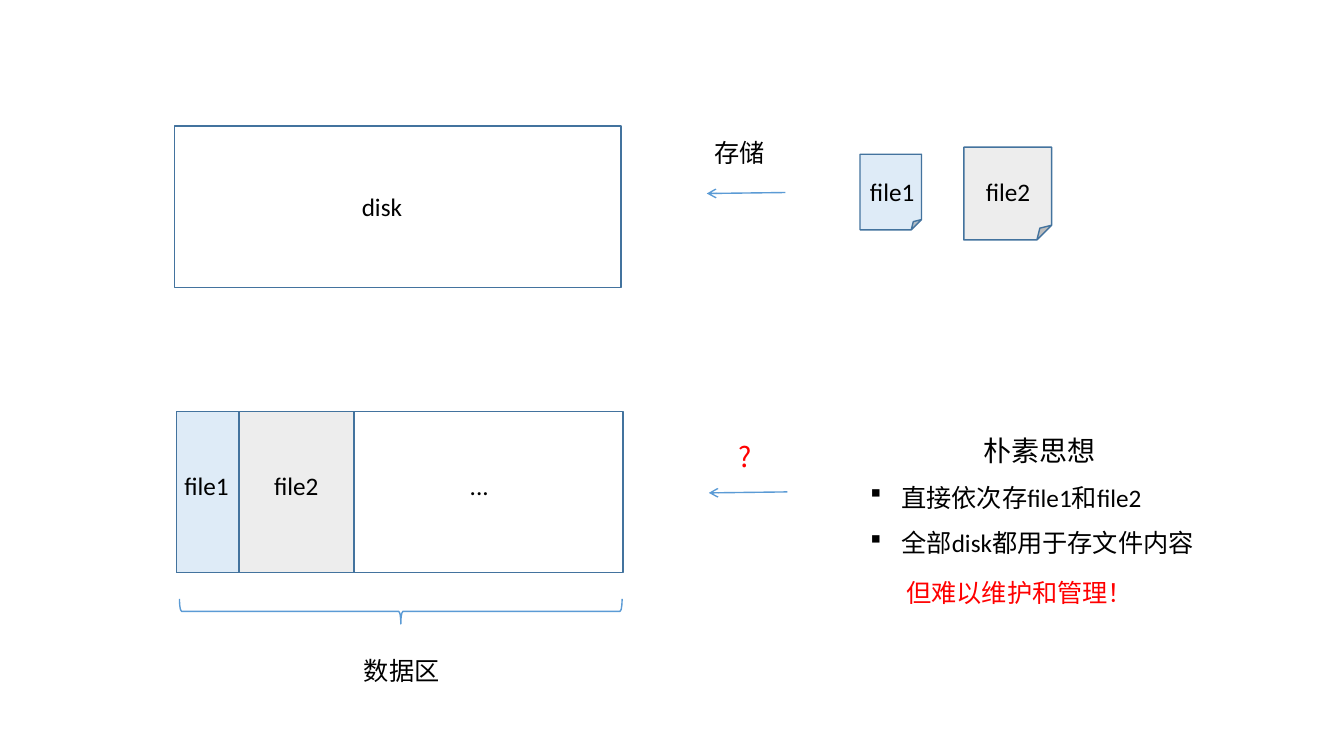
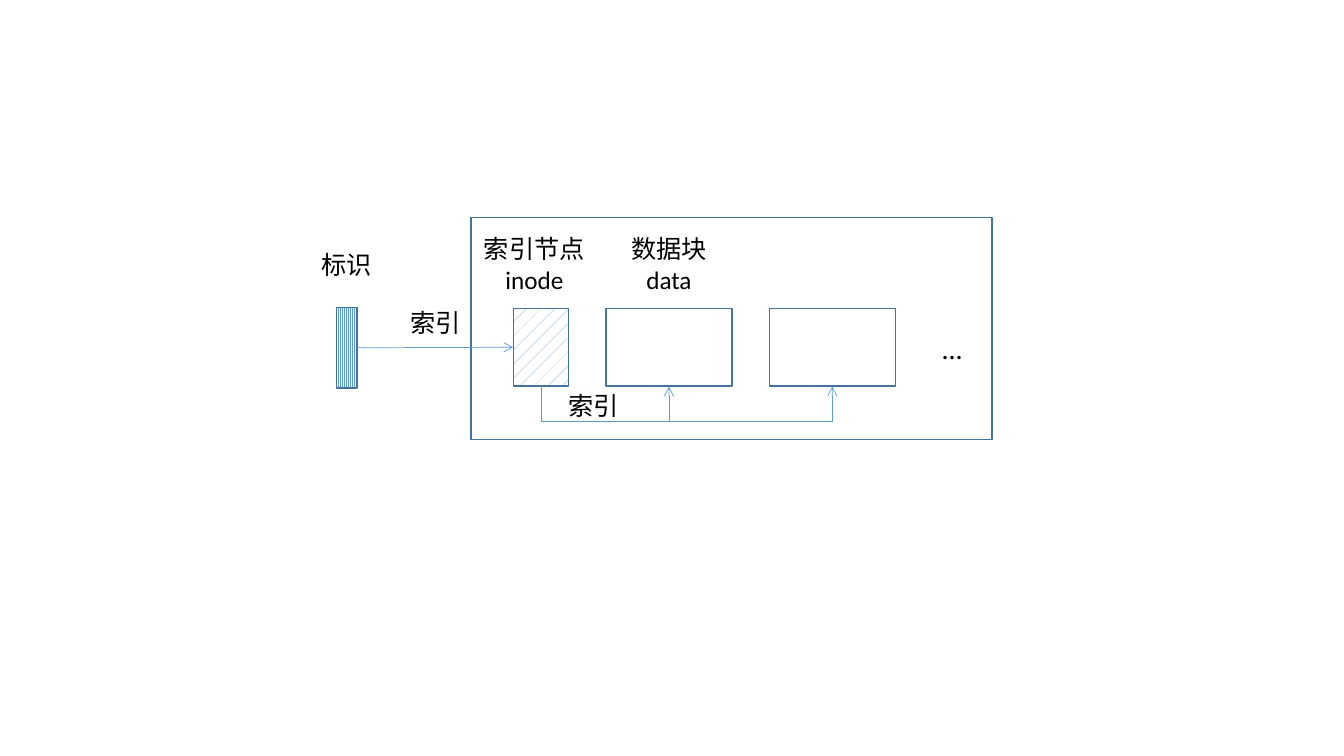
from dataclasses import dataclass

from lxml.etree import SubElement
from pptx import Presentation
from pptx.dml.color import RGBColor
from pptx.enum.dml import MSO_PATTERN as PATTERN
from pptx.enum.shapes import MSO_CONNECTOR as CONNECTOR, MSO_SHAPE as SHAPE
from pptx.enum.text import MSO_AUTO_SIZE as AUTO_SIZE, PP_ALIGN as ALIGN
from pptx.oxml.ns import qn
from pptx.util import Inches, Pt

BOTTOM, LEFT, RIGHT = 2, 1, 3
CONTENT, BLANK = 1, 6


@dataclass(frozen=True)
class Theme:
    black: str = "000000"
    red: str = "FF0000"
    white: str = "FFFFFF"
    outline: str = "43739E"
    accent: str = "5B9BD5"
    file1: str = "DEEBF7"
    file2: str = "EDEDED"
    latin: str = "Calibri"
    cjk: str = "Noto Sans CJK SC"
    text: int = 18
    large: int = 20
    line: float = 1
    thin: float = 0.5


T = Theme()


def rgb(value):
    return RGBColor.from_string(value)


class Deck:
    def __init__(self):
        self.prs = Presentation()
        self.prs.slide_width, self.prs.slide_height = Inches(13.33), Inches(7.5)
        self.s = None

    def slide(self, layout=BLANK):
        self.s = self.prs.slides.add_slide(self.prs.slide_layouts[layout])
        title = self.s.shapes.title
        if title is not None:
            title.element.getparent().remove(title.element)

    def add_text(self, p, text, size=T.text, color=T.black, font=T.latin):
        r = p.add_run()
        r.text = text
        for name, value in {"size": Pt(size), "name": font}.items():
            setattr(r.font, name, value)
        r.font.color.rgb = rgb(color)
        SubElement(r.font._element, qn("a:ea")).set("typeface", T.cjk)

    def label(self, x, y, w, text, h=0.4, align=ALIGN.LEFT, **style):
        """Add an unwrapped text box with one paragraph per line of text."""
        box = self.s.shapes.add_textbox(*map(Inches, (x, y, w, h)))
        tf = box.text_frame
        tf.word_wrap = False
        for i, line in enumerate(text.split("\n")):
            p = tf.add_paragraph() if i else tf.paragraphs[0]
            p.alignment = align
            self.add_text(p, line, **style)

    def bullets(self, x, y, w, h, heading, items):
        """Fill the body placeholder with a centred heading and square bullets."""
        body = self.s.placeholders[1]
        place = dict(zip(("left", "top", "width", "height"), map(Inches, (x, y, w, h))))
        for name, value in place.items():
            setattr(body, name, value)
        tf = body.text_frame
        tf.auto_size = AUTO_SIZE.NONE
        for i, text in enumerate((heading, *items)):
            p = tf.add_paragraph() if i else tf.paragraphs[0]
            layout = {"alignment": ALIGN.LEFT if i else ALIGN.CENTER,
                      "line_spacing": 1.5, "space_before": Pt(0)}
            for name, value in layout.items():
                setattr(p, name, value)
            pPr = p._p.get_or_add_pPr()
            indent = Inches(0.31) if i else 0
            pPr.set("marL", str(indent))
            pPr.set("indent", str(-indent))
            if i:
                SubElement(pPr, qn("a:buFont")).set("typeface", "Wingdings")
                SubElement(pPr, qn("a:buChar")).set("char", "§")
                self.add_text(p, text)
            else:
                SubElement(pPr, qn("a:buNone"))
                self.add_text(p, text, size=T.large, font=T.cjk)

    def shape(self, x, y, w, h, fill=None, kind=SHAPE.RECTANGLE, line=T.outline, turn=0):
        """Add an outlined shape; fill is a colour, a pattern or None."""
        sp = self.s.shapes.add_shape(kind, *map(Inches, (x, y, w, h)))
        sp.shadow.inherit = False
        sp.rotation = turn
        sp.line.color.rgb = rgb(line)
        sp.line.width = Pt(T.line)
        if fill is None:
            sp.fill.background()
        elif isinstance(fill, str):
            sp.fill.solid()
            sp.fill.fore_color.rgb = rgb(fill)
        else:
            sp.fill.patterned()
            sp.fill.pattern = fill
            sp.fill.fore_color.rgb = rgb(T.accent)
            sp.fill.back_color.rgb = rgb(T.white)
        return sp

    def arrow(self, start=(0, 0), end=(0, 0), width=T.line, kind=CONNECTOR.STRAIGHT):
        c = self.s.shapes.add_connector(kind, *map(Inches, (*start, *end)))
        c.line.color.rgb = rgb(T.accent)
        c.line.width = Pt(width)
        spPr = c._element.spPr
        SubElement(spPr.find(qn("a:ln")), qn("a:tailEnd")).set("type", "arrow")
        SubElement(spPr, qn("a:effectLst"))
        return c

    def join(self, source, target):
        c = self.arrow(width=T.thin)
        c.begin_connect(source, RIGHT)
        c.end_connect(target, LEFT)

    def loop_under(self, source, target, drop):
        """Join two bottom sides by an elbow that dips by drop inches."""
        c = self.arrow(width=T.thin, kind=CONNECTOR.ELBOW)
        c.begin_connect(source, BOTTOM)
        c.end_connect(target, BOTTOM)
        x1, x2 = (sp.left + sp.width // 2 for sp in (source, target))
        y, span, depth = source.top + source.height, x2 - x1, Inches(0.01)
        # The elbow runs sideways by nature, so it is turned a quarter.
        frame = {"left": (x1 + x2 - depth) // 2, "top": y - span // 2,
                 "width": depth, "height": span}
        for name, value in frame.items():
            setattr(c, name, value)
        spPr = c._element.spPr
        for name, value in {"rot": "5400000", "flipH": "0", "flipV": "1"}.items():
            spPr.find(qn("a:xfrm")).set(name, value)
        geom = spPr.find(qn("a:prstGeom"))
        avLst = geom.find(qn("a:avLst"))
        if avLst is None:
            avLst = SubElement(geom, qn("a:avLst"))
        gd = SubElement(avLst, qn("a:gd"))
        gd.set("name", "adj1")
        gd.set("fmla", f"val {round(Inches(drop) / depth * 100000)}")


def storage_slide(d):
    d.slide(CONTENT)
    disk_w, disk_h, disk_x, disk_y = 4.43, 1.6, 1.75, 4.08
    d.shape(1.73, 1.25, disk_w, disk_h)
    d.label(3.49, 1.85, 0.6, "disk")
    d.shape(disk_x, disk_y, disk_w, disk_h)
    x = disk_x
    for name, w, fill, text_x in (("file1", 0.62, T.file1, 1.73),
                                  ("file2", 1.14, T.file2, 2.62)):
        d.shape(x, disk_y, w, disk_h, fill)
        d.label(text_x, 4.62, 0.64, name)
        x += w
    d.label(4.56, 4.62, 0.39, "...")
    d.shape(3.85, 3.87, 0.25, 4.39, kind=SHAPE.RIGHT_BRACE, line=T.accent, turn=90)
    d.label(3.51, 6.45, 0.95, "数据区")

    for name, box, fill, text_x in (
            ("file1", (8.53, 1.53, 0.61, 0.75), T.file1, 8.53),
            ("file2", (9.56, 1.46, 0.87, 0.92), T.file2, 9.68)):
        d.shape(*box, fill, SHAPE.FOLDED_CORNER)
        d.label(text_x, 1.7, 0.64, name)

    for x, y in ((7.01, 1.92), (7.03, 4.89)):
        d.arrow((x + 0.78, y - 0.01), (x, y))
    d.label(6.99, 1.31, 0.7, "存储")
    d.label(7.23, 4.31, 0.34, "?", h=0.44, size=T.large, color=T.red, font=T.cjk)
    d.bullets(8.53, 4.08, 3.56, 1.51, "朴素思想",
              ("直接依次存file1和file2", "全部disk都用于存文件内容"))
    d.label(8.89, 5.68, 2.45, "但难以维护和管理！", color=T.red)


def index_slide(d):
    d.slide()
    d.shape(4.67, 2.16, 5.17, 2.2)
    block_y, block_h = 3.06, 0.77
    tag = d.shape(3.34, 3.05, 0.2, 0.8, PATTERN.LIGHT_VERTICAL)
    inode = d.shape(5.09, block_y, 0.55, block_h, PATTERN.PERCENT_5)
    for i in range(2):
        block = d.shape(6.01 + i * 1.62, block_y, 1.25, block_h)
        d.loop_under(inode, block, 0.36)
    d.join(tag, inode)
    d.label(9.24, 3.24, 0.41, "...", h=0.44, size=T.large)
    for x, w, text in ((4.7, 1.2, "索引节点\ninode"), (6.16, 0.95, "数据块\ndata")):
        d.label(x, 2.27, w, text, h=0.71, align=ALIGN.CENTER)
    for x, y, text in ((5.54, 3.82, "索引"), (3.97, 3, "索引"), (3.09, 2.42, "标识")):
        d.label(x, y, 0.7, text)


def main():
    d = Deck()
    storage_slide(d)
    index_slide(d)
    d.prs.save("out.pptx")


if __name__ == "__main__":
    main()
